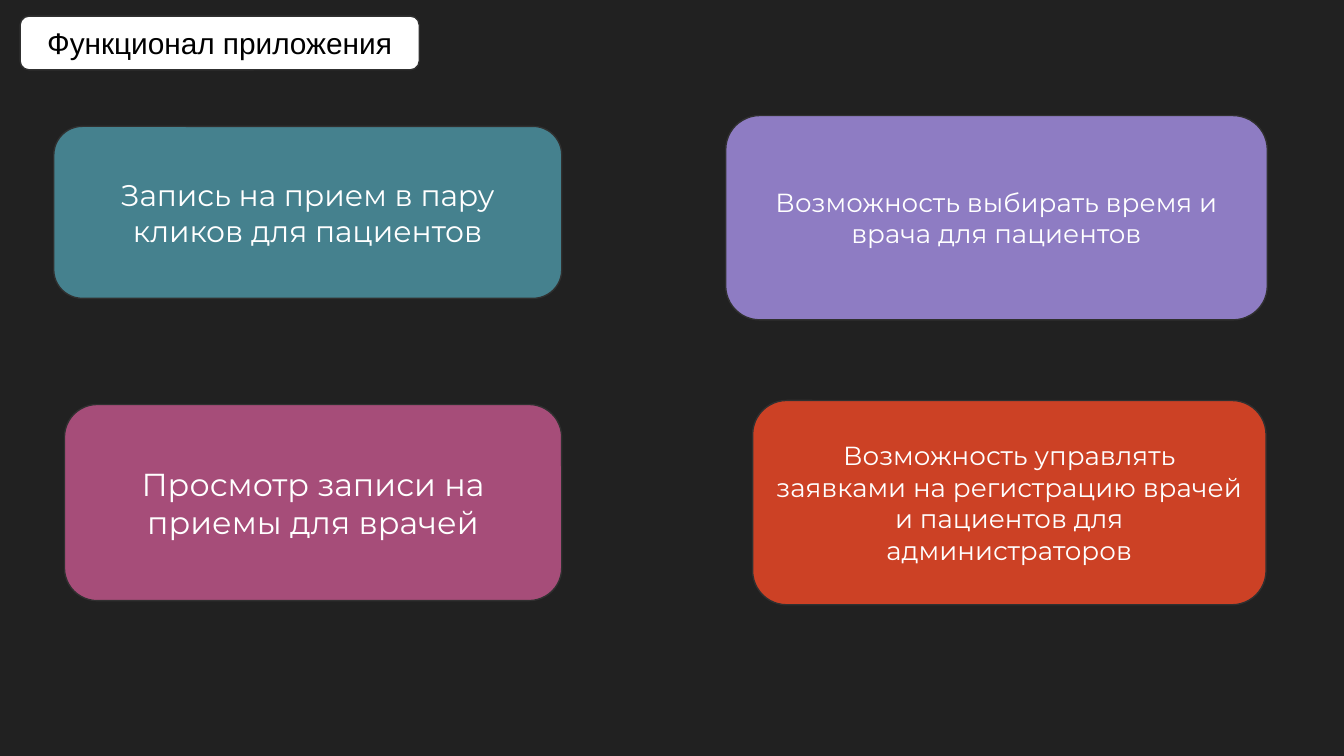
from dataclasses import dataclass

from pptx import Presentation
from pptx.dml.color import RGBColor
from pptx.enum.shapes import MSO_SHAPE
from pptx.enum.text import MSO_ANCHOR, PP_ALIGN
from pptx.slide import Slide
from pptx.util import Inches, Pt

BACKGROUND = RGBColor(0x21, 0x21, 0x21)
OUTLINE = RGBColor(0x30, 0x30, 0x30)
WHITE = RGBColor(0xFF, 0xFF, 0xFF)
BLACK = RGBColor(0x00, 0x00, 0x00)
TEAL = RGBColor(0x45, 0x81, 0x8E)
PLUM = RGBColor(0xA6, 0x4D, 0x79)
VIOLET = RGBColor(0x8E, 0x7C, 0xC3)
RED = RGBColor(0xCC, 0x41, 0x25)

SLIDE_WIDTH = Inches(10)
SLIDE_HEIGHT = SLIDE_WIDTH * 9 // 16
GRID_COLUMNS = 100
CELL = SLIDE_WIDTH // GRID_COLUMNS

FRAME_FORMAT = {
    "word_wrap": True,
    "vertical_anchor": MSO_ANCHOR.MIDDLE,
    **{f"margin_{side}": CELL for side in ("left", "top", "right", "bottom")},
}


@dataclass(frozen=True)
class Card:
    """A rounded card placed in columns and rows of square grid cells."""

    text: str
    column: float
    row: float
    columns: float
    rows: float
    fill: RGBColor
    size: int
    font: str = "Montserrat"
    color: RGBColor = WHITE


CARDS = (
    Card("Функционал приложения", 1.5, 1.2, 29.7, 4, WHITE, 16, "Arial", BLACK),
    Card("Запись на прием в пару кликов для пациентов", 4, 9.4, 37.8, 12.8, TEAL, 16),
    Card("Просмотр записи на приемы для врачей", 4.8, 30.1, 37, 14.6, PLUM, 17),
    Card("Возможность выбирать время и врача для пациентов", 54, 8.6, 40.3, 15.2, VIOLET, 14),
    Card(
        "Возможность управлять заявками на регистрацию врачей и пациентов для администраторов",
        56, 29.8, 38.2, 15.2, RED, 14,
    ),
)


def apply_format(target: object, values: dict[str, object]) -> None:
    """Set each named attribute of the target."""
    for name, value in values.items():
        setattr(target, name, value)


def draw_card(slide: Slide, card: Card) -> None:
    """Draw one rounded card with its centred text."""
    box = (round(CELL * cells) for cells in (card.column, card.row, card.columns, card.rows))
    shape = slide.shapes.add_shape(MSO_SHAPE.ROUNDED_RECTANGLE, *box)
    shape.shadow.inherit = False
    shape.fill.solid()
    shape.fill.fore_color.rgb = card.fill
    shape.line.color.rgb = OUTLINE
    shape.line.width = Pt(0.75)
    apply_format(shape.text_frame, FRAME_FORMAT)
    paragraph = shape.text_frame.paragraphs[0]
    paragraph.alignment = PP_ALIGN.CENTER
    run = paragraph.add_run()
    run.text = card.text
    apply_format(run.font, {"name": card.font, "size": Pt(card.size)})
    run.font.color.rgb = card.color


def main() -> None:
    """Build and save the slide of application features."""
    presentation = Presentation()
    apply_format(presentation, {"slide_width": SLIDE_WIDTH, "slide_height": SLIDE_HEIGHT})
    slide = presentation.slides.add_slide(presentation.slide_layouts[6])
    slide.background.fill.solid()
    slide.background.fill.fore_color.rgb = BACKGROUND
    for card in CARDS:
        draw_card(slide, card)
    presentation.save("out.pptx")


if __name__ == "__main__":
    main()
